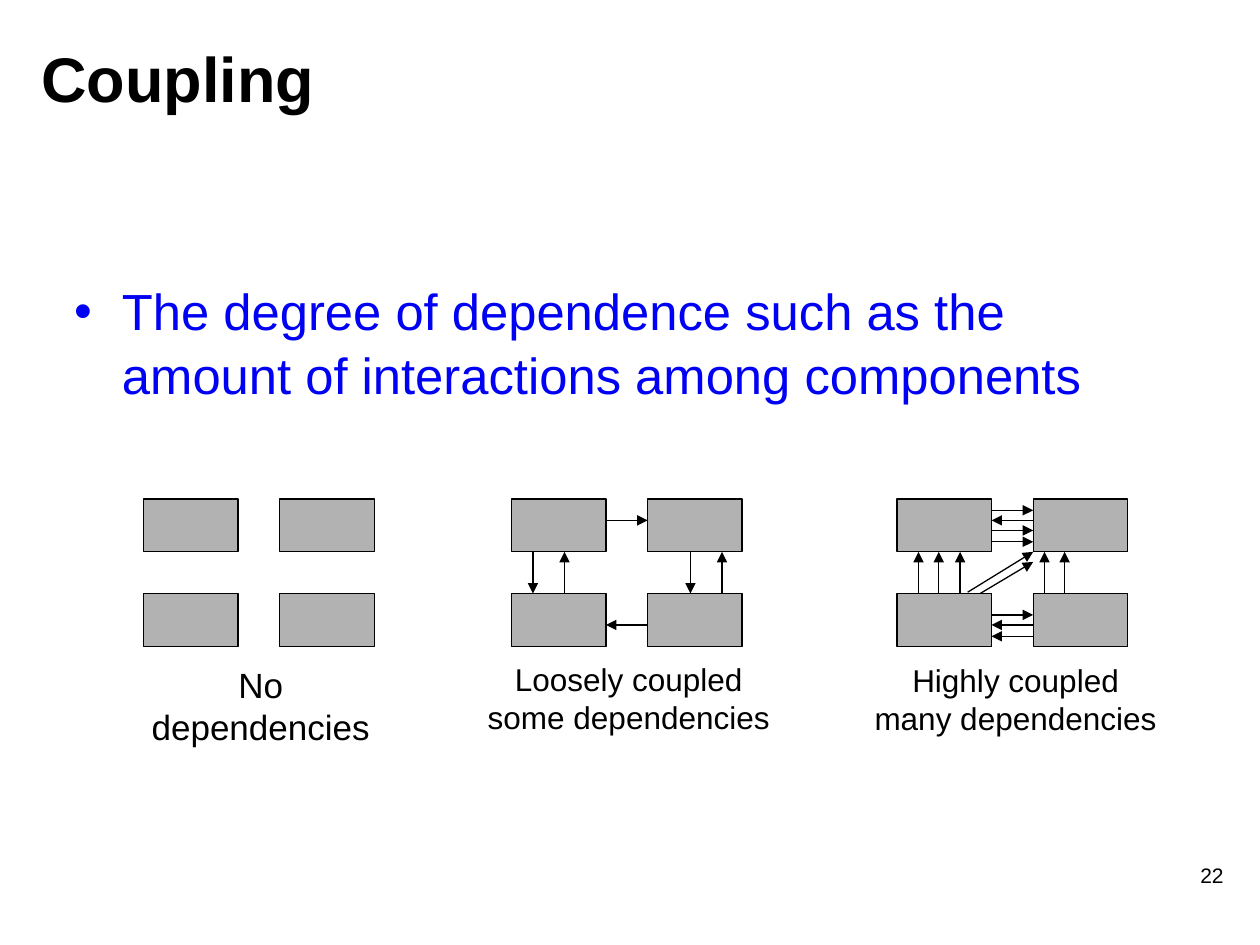
from dataclasses import dataclass

from lxml import etree
from pptx import Presentation
from pptx import util as u
from pptx.dml.color import RGBColor
from pptx.enum import shapes, text
from pptx.oxml.ns import qn


@dataclass(frozen=True)
class Theme:
    font: str = "Arial"
    black: RGBColor = RGBColor(0, 0, 0)
    blue: RGBColor = RGBColor(0, 0, 0xF4)
    gray: RGBColor = RGBColor(0xB2, 0xB2, 0xB2)
    title_size: int = 36
    body_size: int = 29
    label_size: int = 20
    small_label_size: int = 18
    number_size: int = 12
    line_width: float = 0.75


THEME = Theme()

# Component grid, in inches
TOP = 3.96
BOX_WIDTH, BOX_HEIGHT = 0.75, 0.42
COLUMNS = (0, 1.08)
ROWS = (0, 0.75)


def add_text(slide, box, lines, size, color=THEME.black, bold=False,
             align=text.PP_ALIGN.LEFT, anchor=text.MSO_ANCHOR.TOP, wrap=True):
    shape = slide.shapes.add_textbox(*(u.Inches(value) for value in box))
    frame = shape.text_frame
    frame.word_wrap = wrap
    frame.vertical_anchor = anchor
    frame.text = "\n".join(lines)
    for paragraph in frame.paragraphs:
        paragraph.alignment = align
        for run in paragraph.runs:
            run.font.name = THEME.font
            run.font.size = u.Pt(size)
            run.font.bold = bold
            run.font.color.rgb = color
    return shape


def add_bullet(paragraph, indent):
    properties = paragraph._p.get_or_add_pPr()
    properties.set("marL", str(u.Inches(indent)))
    properties.set("indent", str(-u.Inches(indent)))
    etree.SubElement(properties, qn("a:buFont"), typeface=THEME.font)
    etree.SubElement(properties, qn("a:buChar"), char="•")


def add_component(group, left, top):
    shape = group.shapes.add_shape(
        shapes.MSO_SHAPE.RECTANGLE, u.Inches(left), u.Inches(top),
        u.Inches(BOX_WIDTH), u.Inches(BOX_HEIGHT))
    shape.shadow.inherit = False
    shape.fill.solid()
    shape.fill.fore_color.rgb = THEME.gray
    shape.line.color.rgb = THEME.black
    shape.line.width = u.Pt(THEME.line_width)


def add_arrow(group, start, end):
    connector = group.shapes.add_connector(
        shapes.MSO_CONNECTOR.STRAIGHT,
        *(u.Inches(value) for value in (*start, *end)))
    connector.line.color.rgb = THEME.black
    connector.line.width = u.Pt(THEME.line_width)
    etree.SubElement(connector.line._get_or_add_ln(), qn("a:tailEnd"), type="triangle")
    etree.SubElement(connector._element.spPr, qn("a:effectLst"))


def across(y, rightward=True):
    """Arrow over the gap between the columns."""
    ends = ((BOX_WIDTH, y), (COLUMNS[1], y))
    return ends if rightward else ends[::-1]


def between_rows(x, upward=True):
    """Arrow over the gap between the rows."""
    ends = ((x, ROWS[1]), (x, BOX_HEIGHT))
    return ends if upward else ends[::-1]


def add_diagram(slide, left, arrows=()):
    """Four components with arrows given relative to the diagram corner."""
    group = slide.shapes.add_group_shape()
    for x in COLUMNS:
        for y in ROWS:
            add_component(group, left + x, TOP + y)
    for ends in arrows:
        add_arrow(group, *((left + x, TOP + y) for x, y in ends))


def main():
    presentation = Presentation()
    presentation.slide_width = u.Inches(10)
    presentation.slide_height = u.Inches(7.5)
    slide = presentation.slides.add_slide(presentation.slide_layouts[6])

    # Title, definition and page number
    add_text(slide, (0.23, 0.15, 8.03, 0.93), ["Coupling"], THEME.title_size,
             bold=True, anchor=text.MSO_ANCHOR.MIDDLE)
    definition = add_text(
        slide, (0.49, 2.15, 9, 1.26),
        ["The degree of dependence such as the amount of interactions among components"],
        THEME.body_size, THEME.blue)
    paragraph = definition.text_frame.paragraphs[0]
    paragraph.line_spacing = 1.05
    add_bullet(paragraph, 0.38)
    add_text(slide, (7.73, 6.8, 2.08, 0.5), ["22"], THEME.number_size,
             align=text.PP_ALIGN.RIGHT)

    # Three degrees of coupling
    loose = [across(0.17), across(1, False),
             between_rows(0.17, False), between_rows(0.42),
             between_rows(1.42, False), between_rows(1.67)]
    high = [between_rows(x) for x in (0.17, 0.33, 0.5, 1.17, 1.33)]
    high += [across(y) for y in (0.09, 0.25, 0.34, 0.92)]
    high += [across(y, False) for y in (0.17, 1, 1.09)]
    high += [((0.56, 0.74), (COLUMNS[1], 0.42)),
             ((0.66, 0.75), (COLUMNS[1], 0.5))]
    for left, arrows in ((1.14, ()), (4.06, loose), (7.12, high)):
        add_diagram(slide, left, arrows)

    # Labels below the diagrams
    labels = (
        ((0.89, 5.22, 2.36, 0.44), ["No dependencies"], THEME.label_size),
        ((3.77, 5.19, 2.44, 0.7), ["Loosely coupled", "some dependencies"],
         THEME.small_label_size),
        ((6.84, 5.2, 2.44, 0.7), ["Highly coupled", "many dependencies"],
         THEME.small_label_size),
    )
    for box, lines, size in labels:
        add_text(slide, box, lines, size, align=text.PP_ALIGN.CENTER, wrap=False)

    presentation.save("out.pptx")


if __name__ == "__main__":
    main()
